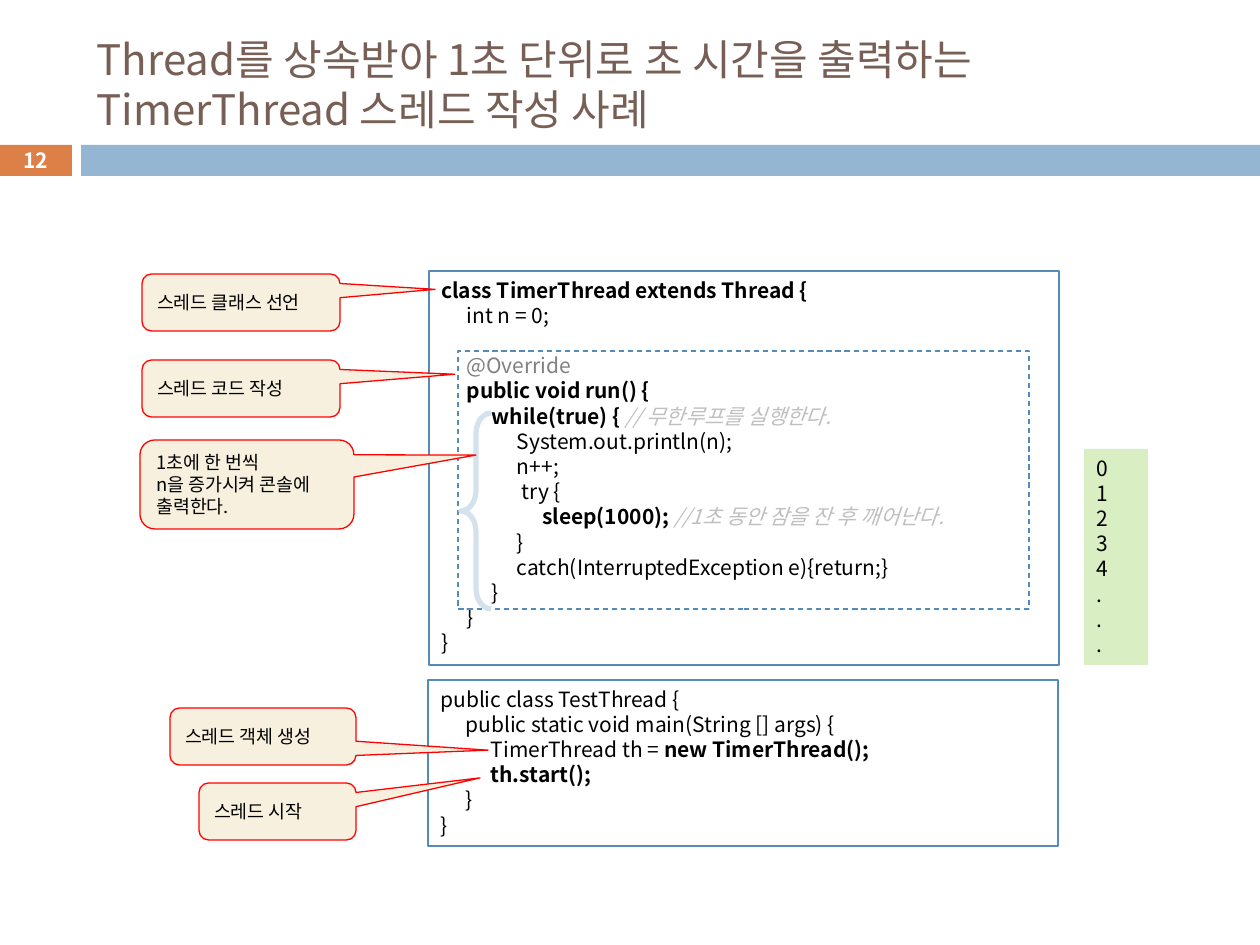
from dataclasses import dataclass
from typing import NamedTuple

import pptx
import pptx.dml.color
import pptx.enum.dml
import pptx.enum.shapes
import pptx.enum.text
import pptx.util
from lxml import etree

SHAPES = pptx.enum.shapes.MSO_SHAPE
ANCHORS = pptx.enum.text.MSO_ANCHOR
ALIGNS = pptx.enum.text.PP_ALIGN
EMU_PER_PX = 914400 / 126
FONT = "Noto Sans CJK KR"
LINE_HEIGHT = 1.2
TAB_WIDTH = pptx.util.Inches(0.2)
COLORS = {
    "black": "000000",
    "white": "FFFFFF",
    "title": "775F55",
    "orange": "DD8047",
    "bar": "94B6D2",
    "frame": "558BB8",
    "brace": "D4E2ED",
    "note": "F7F0DE",
    "red": "FF0000",
    "console": "DAEEC4",
    "annotation": "808080",
    "comment": "BFBFBF",
}


class Box(NamedTuple):
    left: int
    top: int
    width: int
    height: int


class Span(NamedTuple):
    text: str
    color: str = "black"
    bold: bool = False
    italic: bool = False


@dataclass
class Line:
    spans: list[Span]
    blank_above: bool = False


@dataclass
class Callout:
    box: Box
    tip: tuple[float, float]
    text: str


def strong(text: str) -> Span:
    return Span(text, bold=True)


def comment(text: str) -> Span:
    return Span(text, "comment", italic=True)


def plain_lines(text: str, color: str = "black", bold: bool = False) -> list[Line]:
    return [Line([Span(row, color, bold)]) for row in text.split("\n")]


TIMER_CODE = [
    Line([strong("class TimerThread extends Thread {")]),
    Line([Span("\tint n = 0;")]),
    Line([Span("\t@Override", "annotation")], blank_above=True),
    Line([strong("\tpublic void run() {")]),
    Line([strong("\t\twhile(true) { "), comment("// 무한루프를 실행한다.")]),
    *plain_lines("\t\t\tSystem.out.println(n);\n\t\t\tn++;\n\t\t\t try {"),
    Line([strong("\t\t\t\tsleep(1000); "), comment("//1초 동안 잠을 잔 후 깨어난다.")]),
    *plain_lines("\t\t\t}\n\t\t\tcatch(InterruptedException e){return;}\n\t\t}\n\t}\n}"),
]
TEST_CODE = [
    *plain_lines("public class TestThread {\n\tpublic static void main(String [] args) {"),
    Line([Span("\t\tTimerThread th = "), strong("new TimerThread();")]),
    Line([strong("\t\tth.start();")]),
    *plain_lines("\t}\n}"),
]
CALLOUTS = [
    Callout(Box(170, 708, 186, 57), (1.21, 0.24), "스레드 객체 생성"),
    Callout(Box(199, 783, 157, 57), (1.29, -0.59), "스레드 시작"),
    Callout(Box(142, 274, 198, 57), (0.98, -0.23), "스레드 클래스 선언"),
    Callout(Box(142, 360, 198, 57), (1.08, -0.25), "스레드 코드 작성"),
    Callout(Box(140, 440, 214, 89), (1.07, -0.33), "1초에 한 번씩\nn을 증가시켜 콘솔에\n출력한다."),
]


def px(length: int) -> pptx.util.Emu:
    return pptx.util.Emu(round(length * EMU_PER_PX))


def rgb(name: str) -> pptx.dml.color.RGBColor:
    return pptx.dml.color.RGBColor.from_string(COLORS[name])


def add_tab_stops(paragraph, count: int = 4) -> None:
    properties = paragraph._p.get_or_add_pPr()
    namespace = properties.nsmap["a"]
    stops = etree.SubElement(properties, f"{{{namespace}}}tabLst")
    for index in range(1, count + 1):
        etree.SubElement(stops, f"{{{namespace}}}tab", pos=str(TAB_WIDTH * index), algn="l")


def write(shape, lines: list[Line], size: float, anchor=ANCHORS.TOP,
          align=ALIGNS.LEFT, tabs: bool = False) -> None:
    frame = shape.text_frame
    frame.word_wrap = True
    frame.auto_size = pptx.enum.text.MSO_AUTO_SIZE.NONE
    frame.vertical_anchor = anchor
    for index, line in enumerate(lines):
        paragraph = frame.add_paragraph() if index else frame.paragraphs[0]
        if tabs:
            add_tab_stops(paragraph)
        paragraph.alignment = align
        paragraph.line_spacing = pptx.util.Pt(size * LINE_HEIGHT)
        if line.blank_above:
            paragraph.space_before = pptx.util.Pt(size * LINE_HEIGHT)
        for span in line.spans:
            run = paragraph.add_run()
            run.text = span.text
            run.font.name = FONT
            run.font.size = pptx.util.Pt(size)
            run.font.bold = span.bold
            run.font.italic = span.italic
            run.font.color.rgb = rgb(span.color)


def draw(page, kind, box: Box, fill: str = "", line: str = "", width: float = 0.75):
    shape = page.shapes.add_shape(kind, *map(px, box))
    shape.shadow.inherit = False
    if fill:
        shape.fill.solid()
        shape.fill.fore_color.rgb = rgb(fill)
    else:
        shape.fill.background()
    if line:
        shape.line.color.rgb = rgb(line)
        shape.line.width = pptx.util.Pt(width)
    else:
        shape.line.fill.background()
    return shape


def draw_callout(page, callout: Callout) -> None:
    shape = draw(page, SHAPES.ROUNDED_RECTANGULAR_CALLOUT, callout.box, "note", "red")
    shape.adjustments[0], shape.adjustments[1] = callout.tip
    write(shape, plain_lines(callout.text), 10.5, ANCHORS.MIDDLE)


def main() -> None:
    deck = pptx.Presentation()
    deck.slide_width, deck.slide_height = px(1260), px(945)
    page = deck.slides.add_slide(deck.slide_layouts[5])

    title = page.shapes.title
    title.left, title.top, title.width, title.height = map(px, Box(84, 32, 1124, 103))
    title_text = "Thread를 상속받아 1초 단위로 초 시간을 출력하는 TimerThread 스레드 작성 사례"
    write(title, plain_lines(title_text, "title"), 24, ANCHORS.MIDDLE)

    number = draw(page, SHAPES.RECTANGLE, Box(0, 145, 72, 31), "orange")
    write(number, plain_lines("12", "white", True), 12, ANCHORS.MIDDLE, ALIGNS.CENTER)
    draw(page, SHAPES.RECTANGLE, Box(81, 145, 1179, 31), "bar")

    for box, code in ((Box(429, 271, 630, 394), TIMER_CODE), (Box(428, 680, 630, 166), TEST_CODE)):
        write(draw(page, SHAPES.RECTANGLE, box, line="frame"), code, 12, tabs=True)

    console = draw(page, SHAPES.RECTANGLE, Box(1084, 449, 64, 216), "console")
    write(console, plain_lines("0\n1\n2\n3\n4\n.\n.\n."), 12)

    run_frame = draw(page, SHAPES.RECTANGLE, Box(458, 351, 571, 258), line="frame")
    run_frame.line.dash_style = pptx.enum.dml.MSO_LINE.DASH
    brace = draw(page, SHAPES.LEFT_BRACE, Box(461, 413, 30, 196), line="brace", width=3)
    brace.adjustments[0] = 0.68

    for callout in CALLOUTS:
        draw_callout(page, callout)

    deck.save("out.pptx")


if __name__ == "__main__":
    main()
